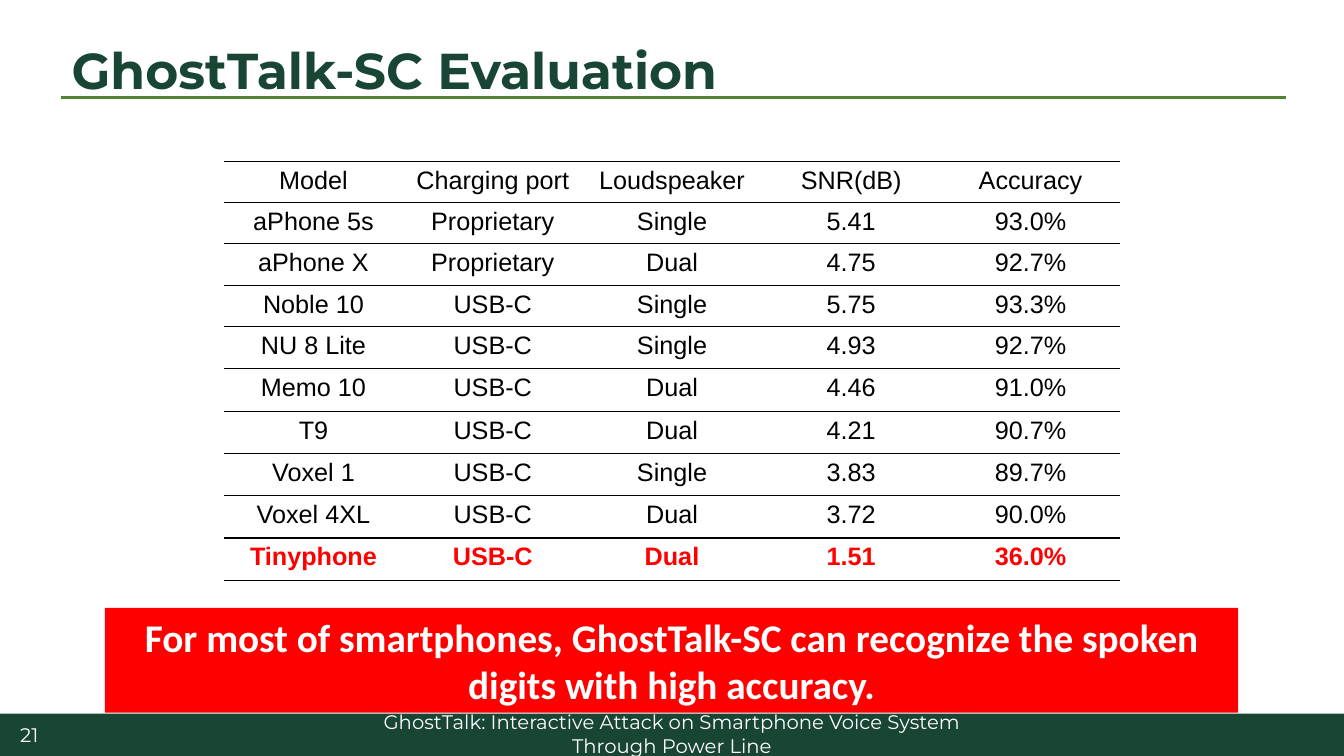
from dataclasses import dataclass

from lxml.etree import SubElement
from pptx import Presentation
from pptx.dml.color import RGBColor
from pptx.enum.shapes import MSO_CONNECTOR, MSO_SHAPE
from pptx.enum.text import MSO_ANCHOR, PP_ALIGN
from pptx.oxml import parse_xml
from pptx.oxml.ns import nsdecls, qn
from pptx.util import Inches, Pt

GREEN, RULE, RED, BLACK, WHITE = "184534", "548235", "FF0000", "000000", "FFFFFF"

RESULTS = [
    ("Model", "Charging port", "Loudspeaker", "SNR(dB)", "Accuracy"),
    ("aPhone 5s", "Proprietary", "Single", "5.41", "93.0%"),
    ("aPhone X", "Proprietary", "Dual", "4.75", "92.7%"),
    ("Noble 10", "USB-C", "Single", "5.75", "93.3%"),
    ("NU 8 Lite", "USB-C", "Single", "4.93", "92.7%"),
    ("Memo 10", "USB-C", "Dual", "4.46", "91.0%"),
    ("T9", "USB-C", "Dual", "4.21", "90.7%"),
    ("Voxel 1", "USB-C", "Single", "3.83", "89.7%"),
    ("Voxel 4XL", "USB-C", "Dual", "3.72", "90.0%"),
    ("Tinyphone", "USB-C", "Dual", "1.51", "36.0%"),
]


@dataclass
class Style:
    """Look of a piece of text."""

    size: float
    font: str
    color: str
    bold: bool = False
    align: PP_ALIGN = PP_ALIGN.CENTER


@dataclass
class Block:
    """A piece of text with its place and optional fill."""

    text: str
    left: float
    top: float
    width: float
    height: float
    style: Style
    fill: str = ""


FOOTER = Style(14, "Montserrat", WHITE)
BLOCKS = [
    Block("", 0, 7.08, 13.33, 0.42, FOOTER, GREEN),
    Block("21", 0, 7.09, 0.48, 0.4, Style(14, "Montserrat", WHITE, align=PP_ALIGN.RIGHT)),
    Block("GhostTalk: Interactive Attack on Smartphone Voice System Through Power Line",
          3.31, 7.1, 6.71, 0.36, FOOTER),
    Block("For most of smartphones, GhostTalk-SC can recognize the spoken digits with high accuracy.",
          1.04, 6.03, 11.24, 1.04, Style(28, "Calibri", WHITE, True), RED),
]


def rgb(color: str) -> RGBColor:
    """Turn a hex string into a colour."""
    return RGBColor.from_string(color)


def write(frame, text: str, style: Style) -> None:
    """Put one styled paragraph in a text frame."""
    frame.text = text
    para = frame.paragraphs[0]
    para.alignment = style.align
    for span in para.runs:
        span.font.size = Pt(style.size)
        span.font.name = style.font
        span.font.bold = style.bold
        span.font.color.rgb = rgb(style.color)


def add_block(page, block: Block) -> None:
    """Draw a filled rectangle or a text box."""
    place = [Inches(n) for n in (block.left, block.top, block.width, block.height)]
    if block.fill:
        box = page.shapes.add_shape(MSO_SHAPE.RECTANGLE, *place)
        box.shadow.inherit = False
        box.fill.solid()
        box.fill.fore_color.rgb = rgb(block.fill)
        box.line.fill.background()
    else:
        box = page.shapes.add_textbox(*place)
    if block.text:
        frame = box.text_frame
        frame.word_wrap = True
        frame.vertical_anchor = MSO_ANCHOR.MIDDLE
        write(frame, block.text, block.style)


def add_title(page) -> None:
    """Fill the title placeholder and draw the rule under it."""
    title = page.shapes.title
    title.left, title.top = Inches(0.61), Inches(0)
    title.width, title.height = Inches(11.5), Inches(1.45)
    title.text_frame.vertical_anchor = MSO_ANCHOR.MIDDLE
    write(title.text_frame, "GhostTalk-SC Evaluation",
          Style(36, "Montserrat", GREEN, True, PP_ALIGN.LEFT))
    title.text_frame.paragraphs[0].line_spacing = 0.9
    rule = page.shapes.add_connector(
        MSO_CONNECTOR.STRAIGHT, Inches(0.61), Inches(0.97), Inches(12.75), Inches(0.97))
    rule.line.color.rgb = rgb(RULE)
    rule.line.width = Pt(2.25)
    SubElement(rule._element.spPr, qn("a:effectLst"))


def set_borders(cell) -> None:
    """Rule a cell above and below only."""
    ink = f'<a:solidFill><a:srgbClr val="{BLACK}"/></a:solidFill>'
    sides = (("lnL", "<a:noFill/>"), ("lnR", "<a:noFill/>"), ("lnT", ink), ("lnB", ink))
    properties = cell._tc.get_or_add_tcPr()
    for index, (side, paint) in enumerate(sides):
        properties.insert(index, parse_xml(
            f'<a:{side} {nsdecls("a")} w="{Pt(1)}">{paint}</a:{side}>'))


def add_results(page) -> None:
    """Draw the table of results, with the last row highlighted."""
    table = page.shapes.add_table(
        len(RESULTS), len(RESULTS[0]), Inches(2.22), Inches(1.6), Inches(8.89), Inches(4.15)).table
    table.first_row = table.horz_banding = False
    for index, values in enumerate(RESULTS):
        table.rows[index].height = Inches(0.41 if index < 4 else 0.42)
        last = index == len(RESULTS) - 1
        style = Style(18, "Arial", RED if last else BLACK, last)
        for column, value in enumerate(values):
            cell = table.cell(index, column)
            cell.fill.background()
            set_borders(cell)
            write(cell.text_frame, value, style)


def main() -> None:
    """Build and save the deck."""
    deck = Presentation()
    deck.slide_width, deck.slide_height = Inches(13.33), Inches(7.5)
    page = deck.slides.add_slide(deck.slide_layouts[5])
    add_title(page)
    add_results(page)
    for block in BLOCKS:
        add_block(page, block)
    deck.save("out.pptx")


if __name__ == "__main__":
    main()
